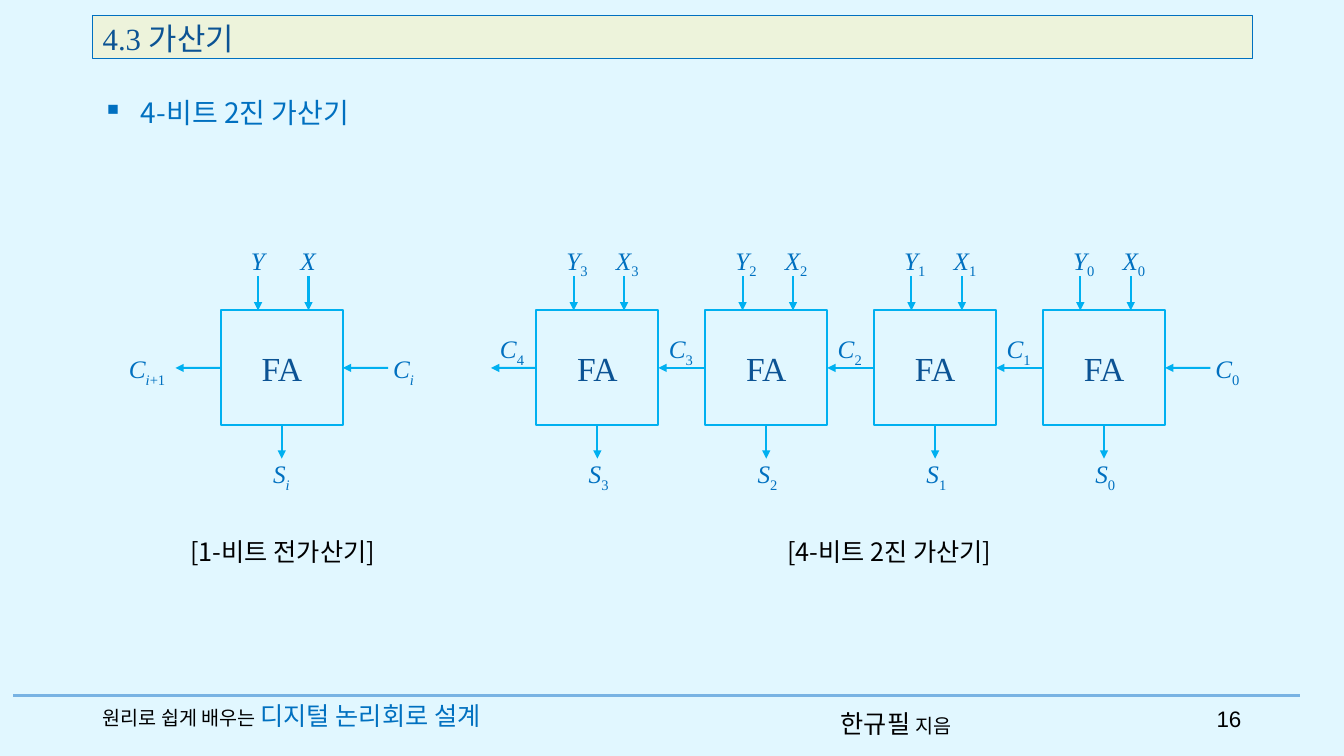
from lxml import etree
from pptx import Presentation
from pptx.dml.color import RGBColor
from pptx.enum.shapes import MSO_CONNECTOR, MSO_SHAPE
from pptx.enum.text import MSO_ANCHOR, PP_ALIGN
from pptx.oxml.ns import qn
from pptx.util import Inches, Pt

STRAIGHT, RECTANGLE = MSO_CONNECTOR.STRAIGHT, MSO_SHAPE.RECTANGLE
TOP, MIDDLE = MSO_ANCHOR.TOP, MSO_ANCHOR.MIDDLE
LEFT, CENTER, RIGHT = PP_ALIGN.LEFT, PP_ALIGN.CENTER, PP_ALIGN.RIGHT
LEFT_SIDE, BOTTOM_SIDE, RIGHT_SIDE = 1, 2, 3

THEME = {
    "background": "E1F7FF", "title_fill": "EDF3DB", "title": "0B5394",
    "accent": "0070C0", "wire": "00B0F0", "rule": "78B3E3", "black": "000000",
    "serif": "Times New Roman", "sans": "Arial", "korean": "Noto Sans CJK KR",
    "title_size": 22, "heading_size": 20, "label_size": 18, "block_size": 24,
    "number_size": 16, "small_size": 14, "wire_width": 1.5,
}

# Content: (text, font, box, alignment, runs as (text, size, colour))
TITLE = "4.3 가산기"
HEADING = "4-비트 2진 가산기"
BLOCK_NAME = "FA"
TEXTS = [
    ("korean", (1.79, 5.27, 2.33, 0.4), LEFT, [("[1-비트 전가산기]", "label_size", "black")]),
    ("korean", (7.71, 5.27, 2.84, 0.4), LEFT, [("[4-비트 2진 가산기]", "label_size", "black")]),
    ("serif", (0.92, 6.9, 4.63, 0.4), LEFT, [("원리로 쉽게 배우는 ", "small_size", "black"),
                                             ("디지털 논리회로 설계", "label_size", "accent")]),
    ("korean", (8.24, 6.98, 1.53, 0.4), LEFT, [("한규필 ", "label_size", "black"),
                                               ("지음", "small_size", "black")]),
    ("sans", (11.79, 6.95, 0.62, 0.4), RIGHT, [("16", "number_size", "black")]),
]
STAGES = 4

# Circuit measures
SINGLE_LEFT, CHAIN_LEFT, CHAIN_PITCH = 2.19, 5.32, 1.675
BLOCK_TOP, BLOCK_WIDTH, BLOCK_HEIGHT = 3.08, 1.21, 1.14
BLOCK_MIDDLE, BLOCK_BOTTOM = BLOCK_TOP + BLOCK_HEIGHT / 2, BLOCK_TOP + BLOCK_HEIGHT
INPUT_LENGTH, CARRY_LENGTH = 0.34, 0.45
INPUT_LABEL_TOP, SUM_LABEL_TOP, END_LABEL_TOP, CARRY_LABEL_TOP = 2.38, 4.5, 3.46, 3.26
INPUTS = {"X": (0.69, 0.87), "Y": (0.2, 0.37)}  # label and arrow offsets
LETTER_WIDTHS = {"X": 0.36, "Y": 0.34, "S": 0.32, "C": 0.36}
INDEX_WIDTHS = {"": 0, "i": 0.06, "i+1": 0.26}
DIGIT_WIDTH = 0.09


def color(name):
    return RGBColor.from_string(THEME[name])


def set_font(font, face=None, size=None, tint=None):
    if face:
        font.name = THEME[face]
    if size:
        font.size = Pt(THEME[size])
    if tint:
        font.color.rgb = color(tint)


def add_span(para, text):
    span = para.add_run()
    span.text = text
    properties = span._r.get_or_add_rPr()
    etree.SubElement(properties, qn("a:ea"), typeface=THEME["korean"])
    return span


def add_text(page, place, wrap=True):
    frame = page.shapes.add_textbox(*map(Inches, place)).text_frame
    frame.word_wrap = wrap
    return frame.paragraphs[0]


def add_box(page, place, text, face, size, tint, line, width, fill=None, anchor=TOP, align=LEFT):
    box = page.shapes.add_shape(RECTANGLE, *map(Inches, place))
    box.shadow.inherit = False
    if fill:
        box.fill.solid()
        box.fill.fore_color.rgb = color(fill)
    else:
        box.fill.background()
    box.line.color.rgb = color(line)
    box.line.width = Pt(width)
    box.text_frame.vertical_anchor = anchor
    para = box.text_frame.paragraphs[0]
    para.alignment = align
    set_font(para.font, face, size, tint)
    add_span(para, text)
    return box


def add_line(page, start, end, tint, width):
    line = page.shapes.add_connector(STRAIGHT, *map(Inches, start + end))
    line.line.color.rgb = color(tint)
    line.line.width = Pt(width)
    etree.SubElement(line._element.spPr, qn("a:effectLst"))
    return line


def add_arrow(page, start, end):
    arrow = add_line(page, start, end, "wire", THEME["wire_width"])
    etree.SubElement(arrow.line._get_or_add_ln(), qn("a:tailEnd"), type="triangle")
    return arrow


def add_label(page, left, top, letter, index):
    width = LETTER_WIDTHS[letter] + INDEX_WIDTHS.get(index, DIGIT_WIDTH)
    para = add_text(page, (left, top, width, 0.4), wrap=False)
    set_font(para.font, "serif", "label_size", "accent")
    add_span(para, letter).font.italic = True
    for part in (index[:1], index[1:]):
        if part:
            span = add_span(para, part)
            span.font.italic = part == "i"
            span._r.get_or_add_rPr().set("baseline", "-25000")


def add_adder(page, left, input_index, sum_index):
    block = add_box(page, (left, BLOCK_TOP, BLOCK_WIDTH, BLOCK_HEIGHT), BLOCK_NAME, "serif",
                    "block_size", "title", "wire", THEME["wire_width"], anchor=MIDDLE, align=CENTER)
    for letter, (label_offset, arrow_offset) in INPUTS.items():
        add_label(page, left + label_offset, INPUT_LABEL_TOP, letter, input_index)
        across = left + arrow_offset
        add_arrow(page, (across, BLOCK_TOP - INPUT_LENGTH), (across, BLOCK_TOP))
    middle = left + BLOCK_WIDTH / 2
    add_arrow(page, (middle, BLOCK_BOTTOM), (middle, 4.55)).begin_connect(block, BOTTOM_SIDE)
    add_label(page, left + 0.42, SUM_LABEL_TOP, "S", sum_index)
    return block


def add_carry_in(page, block, left, index):
    right = left + BLOCK_WIDTH
    arrow = add_arrow(page, (right + CARRY_LENGTH, BLOCK_MIDDLE), (right, BLOCK_MIDDLE))
    arrow.end_connect(block, RIGHT_SIDE)
    add_label(page, right + 0.4, END_LABEL_TOP, "C", index)


def add_carry_out(page, block, left, next_block=None):
    arrow = add_arrow(page, (left, BLOCK_MIDDLE), (left - CARRY_LENGTH, BLOCK_MIDDLE))
    arrow.begin_connect(block, LEFT_SIDE)
    if next_block:
        arrow.end_connect(next_block, RIGHT_SIDE)


def main():
    deck = Presentation()
    deck.slide_width, deck.slide_height = Inches(13.33), Inches(7.5)
    page = deck.slides.add_slide(deck.slide_layouts[6])
    page.background.fill.solid()
    page.background.fill.fore_color.rgb = color("background")

    # Title, heading, captions and footer
    add_line(page, (0.13, 6.9), (12.89, 6.9), "rule", 2.5)
    add_box(page, (0.92, 0.15, 11.5, 0.43), TITLE, "serif", "title_size", "title",
            "accent", 0.75, fill="title_fill")
    heading = add_text(page, (0.92, 0.9, 3.53, 0.44))
    set_font(heading.font, "korean", "heading_size", "accent")
    add_span(heading, HEADING)
    properties = heading._p.get_or_add_pPr()
    properties.set("marL", str(Inches(0.38)))
    properties.set("indent", str(-Inches(0.38)))
    bullet = etree.Element(qn("a:buChar"), char="▪")
    properties.insert(0, bullet)
    for face, place, align, spans in TEXTS:
        para = add_text(page, place)
        para.alignment = align
        set_font(para.font, face)
        for text, size, tint in spans:
            set_font(add_span(para, text).font, size=size, tint=tint)

    # One-bit full adder
    single = add_adder(page, SINGLE_LEFT, "", "i")
    add_carry_in(page, single, SINGLE_LEFT, "i")
    add_carry_out(page, single, SINGLE_LEFT)
    add_label(page, SINGLE_LEFT - 1.01, END_LABEL_TOP, "C", "i+1")

    # Four-bit adder, highest bit on the left
    previous = None
    for position in range(STAGES):
        left = CHAIN_LEFT + position * CHAIN_PITCH
        bit = STAGES - 1 - position
        block = add_adder(page, left, str(bit), str(bit))
        add_carry_out(page, block, left, previous)
        add_label(page, left - 0.46, CARRY_LABEL_TOP, "C", str(bit + 1))
        previous = block
    add_carry_in(page, previous, left, "0")

    deck.save("out.pptx")


if __name__ == "__main__":
    main()
